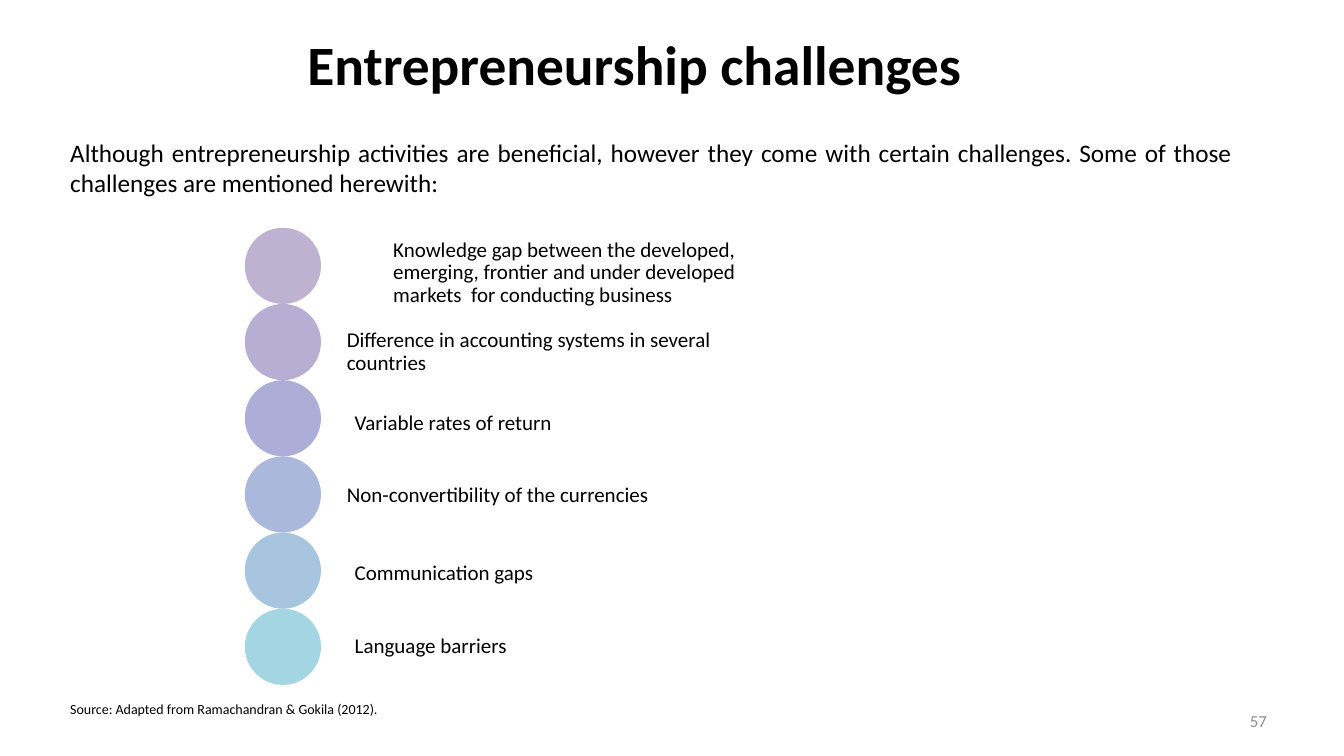
from lxml.etree import SubElement
from pptx import Presentation
from pptx.dml.color import RGBColor
from pptx.enum.shapes import MSO_SHAPE as Preset
from pptx.enum.text import MSO_ANCHOR as Anchor, PP_ALIGN as Align
from pptx.oxml.ns import qn
from pptx.util import Cm, Pt

FONT = "Calibri"
BLACK = "000000"
GREY = "8C8C8C"

# Circle column, in cm
CIRCLE_LEFT = 6.17
CIRCLE_TOP = 5.74
CIRCLE_SIZE = 1.92
LABEL_WIDTH = 10.26

# Circle colour, label left, label drop below its circle's top, label
CHALLENGES = [
    ("8064A2", 9.91, 0.18, "Knowledge gap between the developed, emerging, "
     "frontier and under developed markets  for conducting business"),
    ("6E5FA9", 8.74, 0.26, "Difference in accounting systems in several countries"),
    ("5A5EB1", 8.94, 0.15, "Variable rates of return"),
    ("5572B8", 8.74, 0.03, "Non-convertibility of the currencies"),
    ("508CBF", 8.94, 0.09, "Communication gaps"),
    ("4BACC6", 8.94, 0, "Language barriers"),
]


def paint(color_holder, color):
    color_holder.rgb = RGBColor.from_string(color)


def add_text(slide, box, words, size, color=BLACK, bold=False,
             align=Align.LEFT, anchor=Anchor.TOP, wrap=True):
    """Add a one-paragraph text box; box is left, top, width, height in cm."""
    frame = slide.shapes.add_textbox(*map(Cm, box)).text_frame
    frame.word_wrap = wrap
    frame.vertical_anchor = anchor
    paragraph = frame.paragraphs[0]
    paragraph.alignment = align
    run = paragraph.add_run()
    run.text = words
    run.font.name = FONT
    run.font.size = Pt(size)
    run.font.bold = bold
    paint(run.font.color, color)
    return frame


def add_circle(slide, top, color):
    """Add a borderless, half-transparent circle."""
    circle = slide.shapes.add_shape(
        Preset.OVAL, Cm(CIRCLE_LEFT), Cm(top), Cm(CIRCLE_SIZE), Cm(CIRCLE_SIZE))
    circle.shadow.inherit = False
    circle.line.fill.background()
    circle.fill.solid()
    paint(circle.fill.fore_color, color)
    rgb = circle.fill._xPr.find(f"{qn('a:solidFill')}/{qn('a:srgbClr')}")
    SubElement(rgb, qn("a:alpha"), val="50000")


def add_label(slide, left, top, words):
    """Add a challenge label with tight margins and line spacing."""
    frame = add_text(slide, (left, top, LABEL_WIDTH, CIRCLE_SIZE), words, 15,
                     anchor=Anchor.MIDDLE)
    frame.margin_left = frame.margin_right = 0
    frame.margin_top = frame.margin_bottom = Cm(0.05)
    frame.paragraphs[0].line_spacing = 0.9


def main():
    deck = Presentation()
    deck.slide_width, deck.slide_height = Cm(33.87), Cm(19.05)
    slide = deck.slides.add_slide(deck.slide_layouts[6])

    # Title, pushed right by its left margin
    title = add_text(slide, (0.94, 0.56, 27.33, 2.06), "Entrepreneurship challenges",
                     39.6, bold=True, align=Align.CENTER, anchor=Anchor.MIDDLE)
    title.margin_left = Cm(3.02)

    # Introduction
    add_text(slide, (1.52, 3.33, 29.79, 1.8),
             "Although entrepreneurship activities are beneficial, however they come "
             "with certain challenges. Some of those challenges are mentioned herewith:",
             18, align=Align.JUSTIFY)

    # Challenges
    for row, (color, label_left, drop, words) in enumerate(CHALLENGES):
        top = CIRCLE_TOP + row * CIRCLE_SIZE
        add_circle(slide, top, color)
        add_label(slide, label_left, top + drop, words)

    # Source and page number
    add_text(slide, (1.52, 17.53, 8.38, 0.69),
             "Source: Adapted from Ramachandran & Gokila (2012).", 10, wrap=False)
    add_text(slide, (24.28, 17.65, 7.9, 1.02), "57", 12, GREY,
             align=Align.RIGHT, anchor=Anchor.MIDDLE)

    deck.save("out.pptx")


if __name__ == "__main__":
    main()
